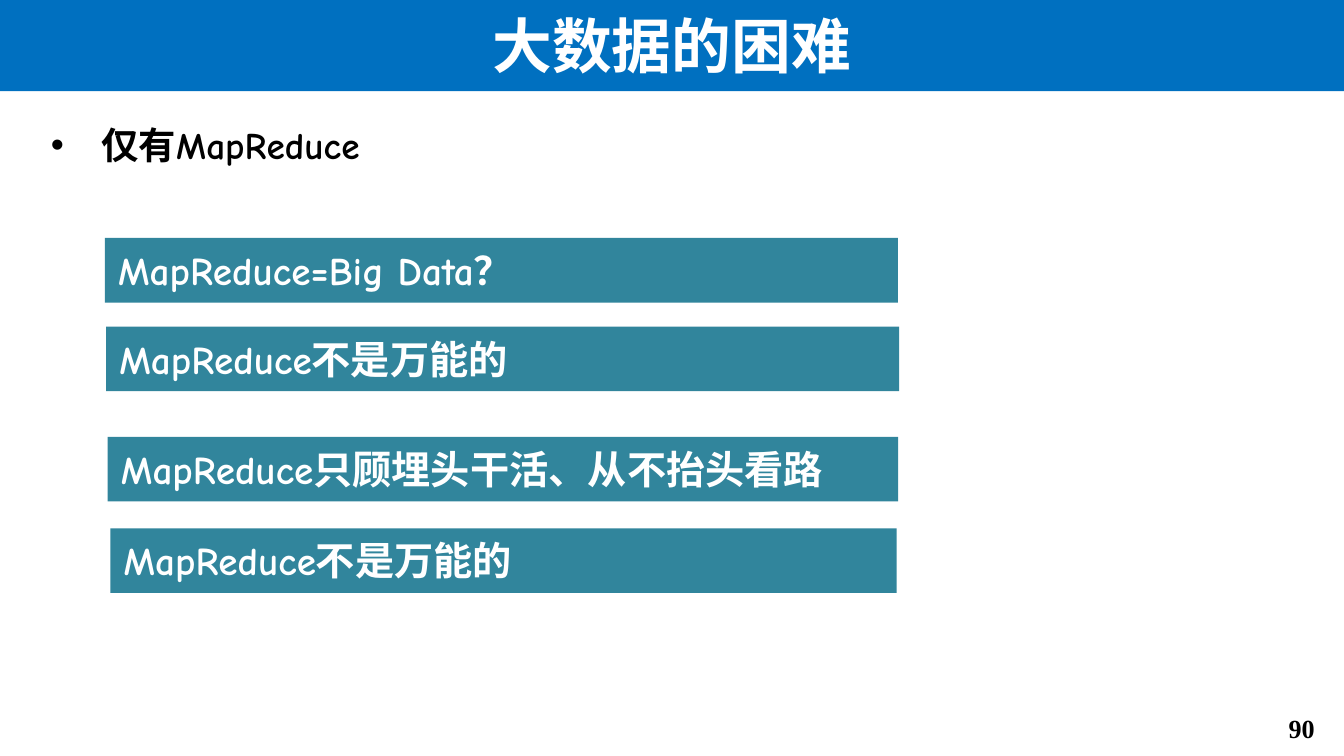
import pptx
import pptx.util
import pptx.dml.color
import pptx.enum.shapes
import pptx.enum.text
import lxml.etree

Pt = pptx.util.Pt
ALIGN = pptx.enum.text.PP_ALIGN
ANCHOR = pptx.enum.text.MSO_ANCHOR
COLORS = {"blue": "0070C0", "teal": "31859C", "white": "FFFFFF", "black": "000000"}
BARS = [
    (0, 0, 424.8, "MapReduce=Big Data？"),
    (0.7, 47.5, 424.8, "MapReduce不是万能的"),
    (1.5, 106.5, 423.4, "MapReduce只顾埋头干活、从不抬头看路"),
    (2.9, 155.5, 421.2, "MapReduce不是万能的"),
]


def color(name):
    """Return the named colour."""
    return pptx.dml.color.RGBColor.from_string(COLORS[name])


def write(shape, text, font="Comic Neue", size=21, ink="white", align=ALIGN.LEFT,
          anchor=ANCHOR.TOP, inset=(7.2, 3.6, 7.2, 3.6), bullet=None):
    """Fill a shape with one formatted paragraph."""
    frame = shape.text_frame
    frame.word_wrap = True
    frame.vertical_anchor = anchor
    (frame.margin_left, frame.margin_top,
     frame.margin_right, frame.margin_bottom) = map(Pt, inset)
    para = frame.paragraphs[0]
    para.text = text
    para.alignment = align
    if bullet:
        props = para._p.get_or_add_pPr()
        props.set("marL", str(Pt(27)))
        props.set("indent", str(-Pt(27)))
        space = pptx.oxml.ns.qn
        lxml.etree.SubElement(props, space("a:buFont")).set("typeface", "Arial")
        lxml.etree.SubElement(props, space("a:buChar")).set("char", bullet)
    style = para.runs[0].font
    style.name, style.size, style.bold = font, Pt(size), True
    style.color.rgb = color(ink)


def block(slide, box, fill):
    """Add a plain filled rectangle."""
    shape = slide.shapes.add_shape(
        pptx.enum.shapes.MSO_SHAPE.RECTANGLE, *map(Pt, box))
    shape.shadow.inherit = False
    shape.fill.solid()
    shape.fill.fore_color.rgb = color(fill)
    shape.line.fill.background()
    return shape


def title(slide, box):
    """Place the title band."""
    write(block(slide, box, "blue"), "大数据的困难", font="Arial", size=32,
          align=ALIGN.CENTER, anchor=ANCHOR.MIDDLE)


def body(slide, box):
    """Place the bullet text."""
    write(slide.shapes.add_textbox(*map(Pt, box)), "仅有MapReduce",
          size=20, ink="black", bullet="•")


def bars(slide, left, top, height):
    """Place the stack of statement bars."""
    for shift, drop, width, text in BARS:
        bar = block(slide, (left + shift, top + drop, width, height), "teal")
        write(bar, text, anchor=ANCHOR.BOTTOM, inset=(7.2, 3.6, 7.2, 5))


def number(slide, box):
    """Place the page number."""
    write(slide.shapes.add_textbox(*map(Pt, box)), "90", font="Times New Roman",
          size=14, ink="black", align=ALIGN.RIGHT)


def main():
    """Build and save the slide."""
    deck = pptx.Presentation()
    deck.slide_width, deck.slide_height = Pt(720), Pt(405)
    slide = deck.slides.add_slide(deck.slide_layouts[6])
    number(slide, (666, 378, 45.4, 24.5))
    title(slide, (0, -1.5, 720, 50.4))
    body(slide, (20.2, 62, 674.6, 299.5))
    bars(slide, 56.2, 127.5, 34.6)
    deck.save("out.pptx")


if __name__ == "__main__":
    main()
